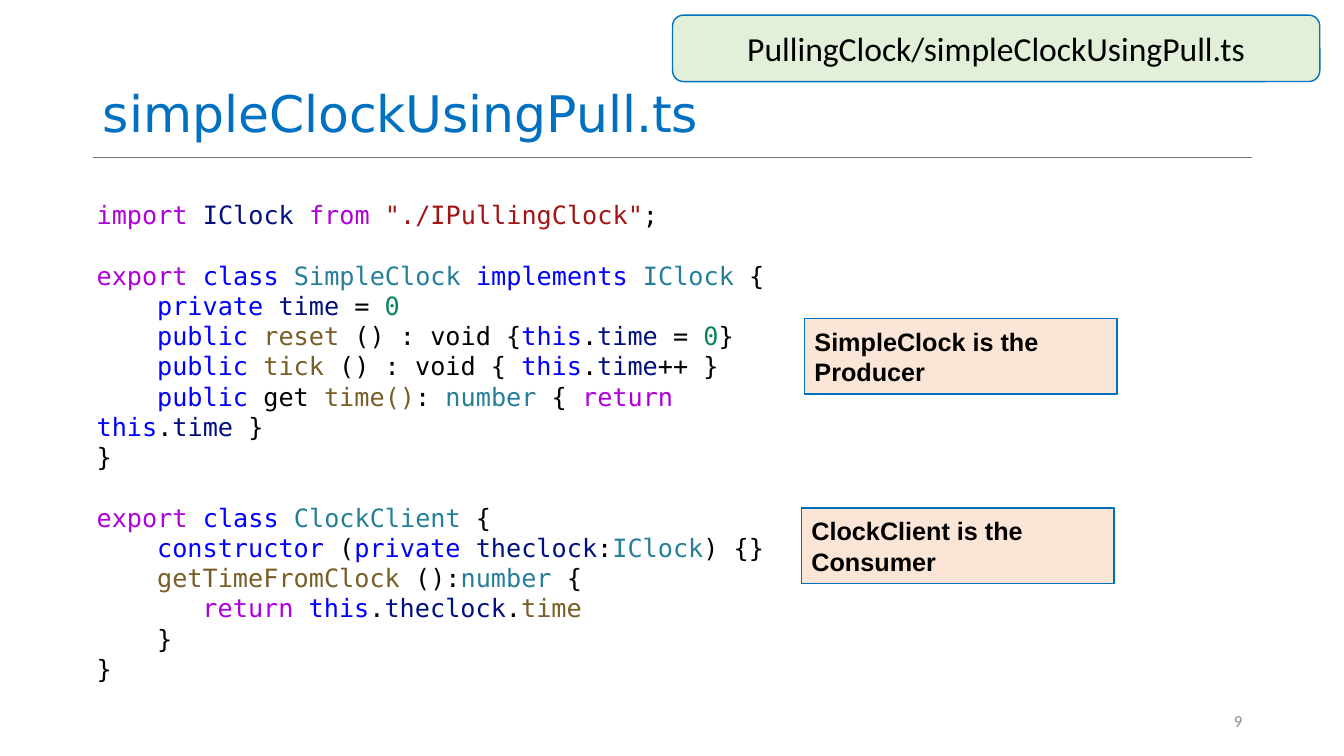
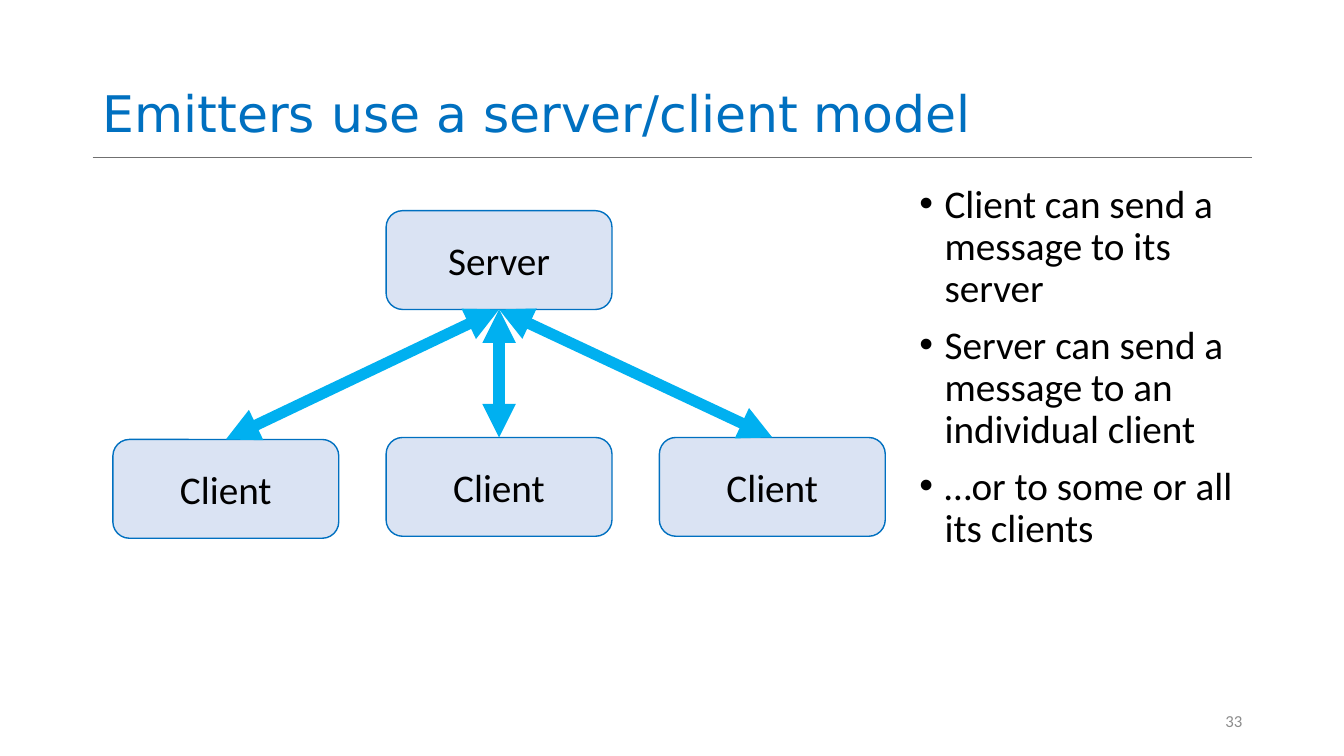
import pptx
import pptx.dml.color
import pptx.enum.shapes
import pptx.enum.text
import pptx.oxml.ns
import pptx.util
from lxml import etree

Inches, Pt = pptx.util.Inches, pptx.util.Pt
RGB = pptx.dml.color.RGBColor
SHAPE = pptx.enum.shapes.MSO_SHAPE
CONNECTOR = pptx.enum.shapes.MSO_CONNECTOR
ANCHOR = pptx.enum.text.MSO_ANCHOR
ALIGN = pptx.enum.text.PP_ALIGN
qn = pptx.oxml.ns.qn

BLUE = RGB(0x00, 0x70, 0xC0)
SKY = RGB(0x00, 0xB0, 0xF0)
GREY = RGB(0x8C, 0x8C, 0x8C)
RULE = RGB(0x70, 0x70, 0x70)
GREEN_FILL = RGB(0xE2, 0xF0, 0xD9)
PEACH_FILL = RGB(0xFB, 0xE5, 0xD6)
BLUE_FILL = RGB(0xDA, 0xE3, 0xF3)

# Syntax colours of the code listing
PLAIN = RGB(0x00, 0x00, 0x00)
FLOW = RGB(0xAF, 0x00, 0xDB)
KEYWORD = RGB(0x00, 0x00, 0xFF)
TYPE = RGB(0x26, 0x7F, 0x99)
NAME = RGB(0x00, 0x10, 0x80)
METHOD = RGB(0x79, 0x5E, 0x26)
NUMBER = RGB(0x09, 0x86, 0x58)
STRING = RGB(0xA3, 0x15, 0x15)

THIS_TIME = [(KEYWORD, "this"), (PLAIN, "."), (NAME, "time")]

# Blocks of code; each line is its indent in characters and its coloured spans
CODE_BLOCKS = [
    [
        (0, [(FLOW, "import "), (NAME, "IClock "), (FLOW, "from "),
             (STRING, '"./IPullingClock"'), (PLAIN, ";")]),
    ],
    [
        (0, [(FLOW, "export "), (KEYWORD, "class "), (TYPE, "SimpleClock "),
             (KEYWORD, "implements "), (TYPE, "IClock"), (PLAIN, " {")]),
        (4, [(KEYWORD, "private "), (NAME, "time"), (PLAIN, " = "), (NUMBER, "0")]),
        (4, [(KEYWORD, "public "), (METHOD, "reset"), (PLAIN, " () : void {"),
             *THIS_TIME, (PLAIN, " = "), (NUMBER, "0"), (PLAIN, "}")]),
        (4, [(KEYWORD, "public "), (METHOD, "tick"), (PLAIN, " () : void { "),
             *THIS_TIME, (PLAIN, "++ }")]),
        (4, [(KEYWORD, "public"), (PLAIN, " get "), (METHOD, "time()"), (PLAIN, ": "),
             (TYPE, "number"), (PLAIN, " { "), (FLOW, "return "),
             *THIS_TIME, (PLAIN, " }")]),
        (0, [(PLAIN, "}")]),
    ],
    [
        (0, [(FLOW, "export "), (KEYWORD, "class "), (TYPE, "ClockClient"),
             (PLAIN, " {")]),
        (4, [(KEYWORD, "constructor"), (PLAIN, " ("), (KEYWORD, "private "),
             (NAME, "theclock"), (PLAIN, ":"), (TYPE, "IClock"), (PLAIN, ") {}")]),
        (4, [(METHOD, "getTimeFromClock"), (PLAIN, " ():"), (TYPE, "number"),
             (PLAIN, " {")]),
        (7, [(FLOW, "return "), (KEYWORD, "this"), (PLAIN, "."), (NAME, "theclock"),
             (PLAIN, "."), (METHOD, "time")]),
        (4, [(PLAIN, "}")]),
        (0, [(PLAIN, "}")]),
    ],
]
CODE_LINE = Pt(21.6)
CODE_CHARACTER = Inches(0.15)

ROLES = [
    ("SimpleClock is the Producer", 7.98, 3.16),
    ("ClockClient is the Consumer", 7.95, 5.04),
]

POINTS = [
    "Client can send a message to its server",
    "Server can send a message to an individual client",
    "…or to some or all its clients",
]
NODE_WIDTH, NODE_HEIGHT = 2.24, 0.98
NODE_LEFT, NODE_STEP = 1.12, 2.71
SERVER_TOP = 2.09
CLIENT_TOPS = [4.36, 4.34, 4.34]


def style_span(span, font, size, color, bold=False):
    span.font.name, span.font.size, span.font.bold = font, Pt(size), bold
    span.font.color.rgb = color


def add_text(page, area, text, font, size, color):
    box = page.shapes.add_textbox(*map(Inches, area))
    frame = box.text_frame
    frame.word_wrap = True
    frame.text = text
    for para in frame.paragraphs:
        for span in para.runs:
            style_span(span, font, size, color)
    return frame


def add_line(page, start, end, color, width):
    line = page.shapes.add_connector(CONNECTOR.STRAIGHT, *map(Inches, start + end))
    line.line.color.rgb = color
    line.line.width = Pt(width)
    etree.SubElement(line._element.spPr, qn("a:effectLst"))
    return line


def add_box(page, kind, area, fill, text, size, font="Calibri", bold=False,
            align=ALIGN.CENTER):
    box = page.shapes.add_shape(kind, *map(Inches, area))
    box.shadow.inherit = False
    box.fill.solid()
    box.fill.fore_color.rgb = fill
    box.line.color.rgb = BLUE
    box.line.width = Pt(1)
    frame = box.text_frame
    frame.word_wrap = True
    frame.vertical_anchor = ANCHOR.MIDDLE
    frame.text = text
    para = frame.paragraphs[0]
    para.alignment = align
    style_span(para.runs[0], font, size, PLAIN, bold)
    return box


def add_page(deck, title_text, number):
    """Add a slide with the shared title, rule and page number."""
    page = deck.slides.add_slide(deck.slide_layouts[5])
    title = page.shapes.title
    title.left, title.top, title.width, title.height = map(
        Inches, (0.92, 0.02, 11.5, 1.45))
    frame = title.text_frame
    frame.text = title_text
    frame.word_wrap = True
    frame.auto_size = pptx.enum.text.MSO_AUTO_SIZE.NONE
    frame.vertical_anchor = ANCHOR.BOTTOM
    para = frame.paragraphs[0]
    para.alignment = ALIGN.LEFT
    para.line_spacing = 0.9
    style_span(para.runs[0], "DejaVu Sans", 36, BLUE)

    add_line(page, (0.92, 1.56), (12.42, 1.56), RULE, 0.5)
    footer = add_text(page, (9.42, 6.95, 3, 0.4), str(number), "Calibri", 12, GREY)
    footer.vertical_anchor = ANCHOR.MIDDLE
    footer.paragraphs[0].alignment = ALIGN.RIGHT
    return page


def add_code(page, area):
    frame = add_text(page, area, "", "DejaVu Sans Mono", 18, PLAIN)
    para = frame.paragraphs[0]
    for block_index, block in enumerate(CODE_BLOCKS):
        for line_index, (indent, spans) in enumerate(block):
            if block_index or line_index:
                para = frame.add_paragraph()
            para.line_spacing = CODE_LINE
            if block_index and not line_index:
                para.space_before = CODE_LINE
            properties = para._p.get_or_add_pPr()
            properties.set("marL", "0")
            properties.set("indent", str(indent * CODE_CHARACTER))
            for color, text in spans:
                span = para.add_run()
                span.text = text
                style_span(span, "DejaVu Sans Mono", 18, color)


def add_bullets(page, area, points):
    frame = add_text(page, area, "\n".join(points), "Calibri", 28, PLAIN)
    for para in frame.paragraphs:
        para.line_spacing = 0.9
        para.space_before = Pt(10)
        properties = para._p.get_or_add_pPr()
        properties.set("marL", str(Inches(0.25)))
        properties.set("indent", str(-Inches(0.25)))
        etree.SubElement(properties, qn("a:buFont"), typeface="Arial")
        etree.SubElement(properties, qn("a:buChar"), char="•")


def add_node(page, column, top, text):
    area = (NODE_LEFT + column * NODE_STEP, top, NODE_WIDTH, NODE_HEIGHT)
    return add_box(page, SHAPE.ROUNDED_RECTANGLE, area, BLUE_FILL, text, 28)


def link_nodes(page, upper, lower):
    """Join two nodes with a two-headed arrow."""
    arrow = add_line(page, (0, 0), (0, 0), SKY, 8)
    arrow.begin_connect(upper, 2)
    arrow.end_connect(lower, 0)
    outline = arrow.line._get_or_add_ln()
    for end in ("a:headEnd", "a:tailEnd"):
        etree.SubElement(outline, qn(end), type="triangle")


def build_code_page(deck):
    page = add_page(deck, "simpleClockUsingPull.ts", 9)
    add_code(page, (0.86, 1.93, 7.12, 5.25))
    add_box(page, SHAPE.ROUNDED_RECTANGLE, (6.67, 0.15, 6.42, 0.66), GREEN_FILL,
            "PullingClock/simpleClockUsingPull.ts", 24)
    for text, left, top in ROLES:
        add_box(page, SHAPE.RECTANGLE, (left, top, 3.1, 0.75), PEACH_FILL, text, 18,
                "Arial", True, ALIGN.LEFT)


def build_model_page(deck):
    page = add_page(deck, "Emitters use a server/client model", 33)
    add_bullets(page, (9.02, 1.78, 3.4, 4.76), POINTS)
    server = add_node(page, 1, SERVER_TOP, "Server")
    clients = [add_node(page, column, top, "Client")
               for column, top in enumerate(CLIENT_TOPS)]
    for client in clients:
        link_nodes(page, server, client)


def main():
    deck = pptx.Presentation()
    deck.slide_width, deck.slide_height = Inches(13.33), Inches(7.5)
    build_code_page(deck)
    build_model_page(deck)
    deck.save("out.pptx")


if __name__ == "__main__":
    main()
